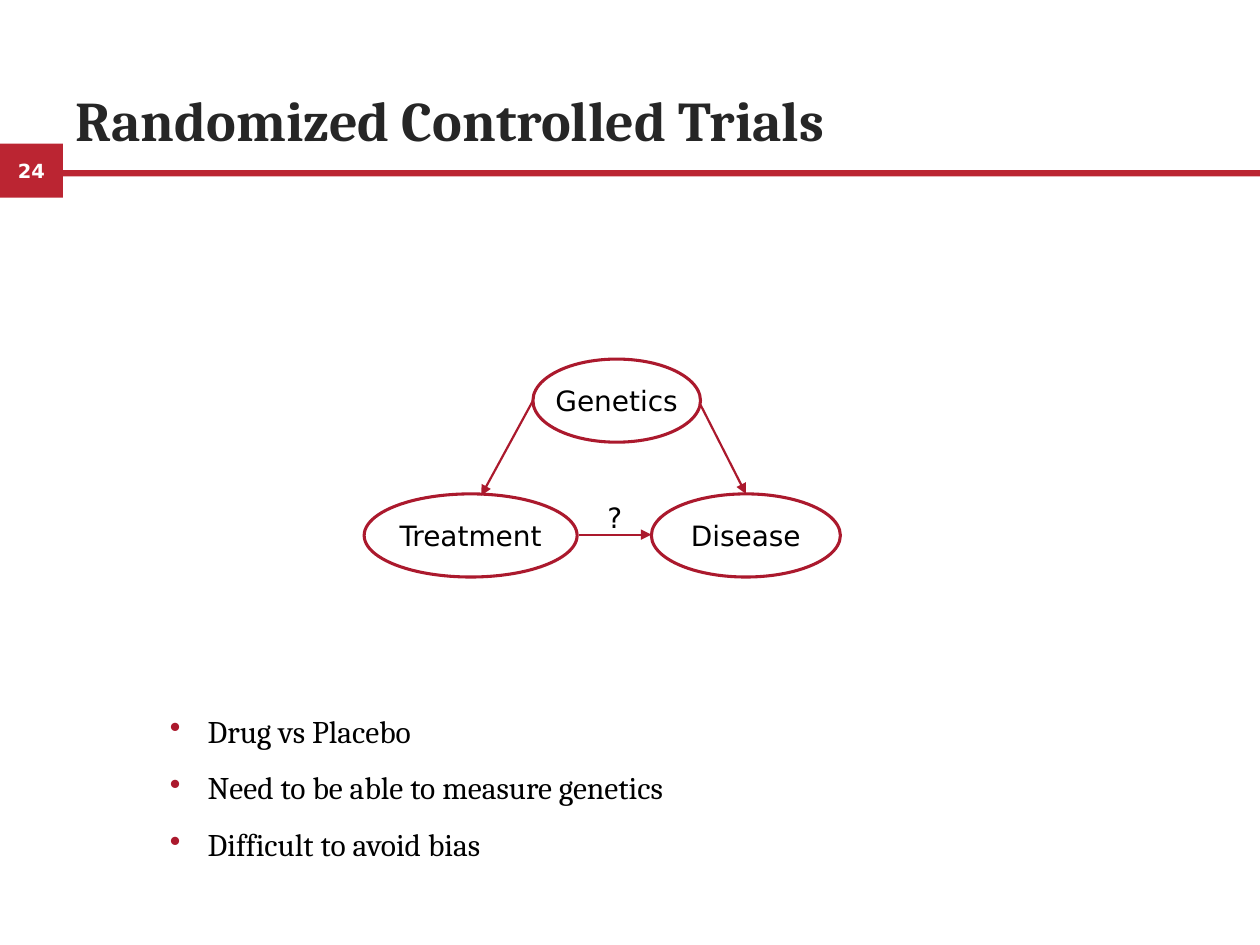
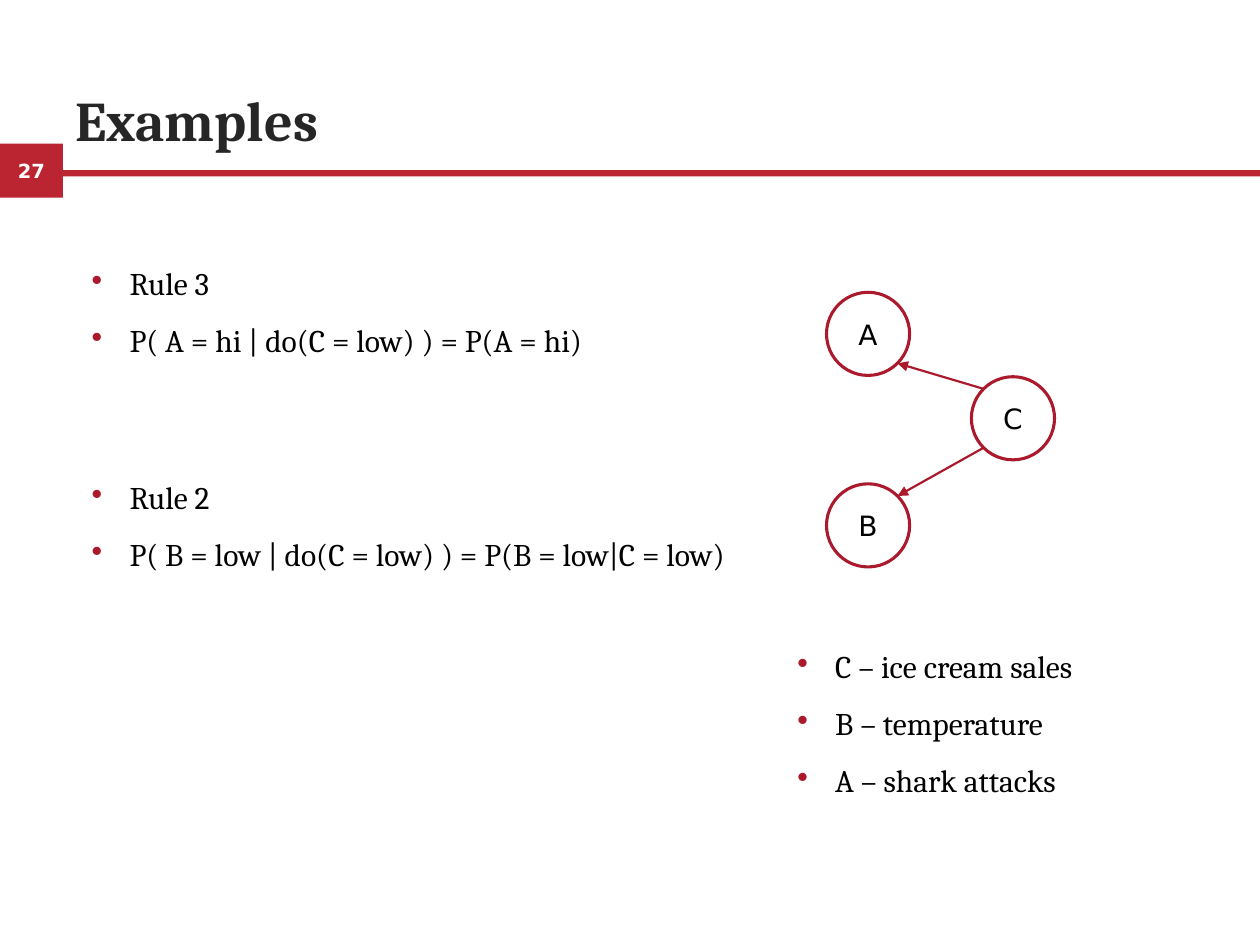
import dataclasses

import lxml.etree
import pptx
import pptx.dml.color
import pptx.enum.shapes
import pptx.enum.text
import pptx.oxml.ns
import pptx.util

COLUMNS, ROWS = 100, 75  # square grid cells of a tenth of an inch
COLORS = {
    "band": "BB2532",
    "accent": "AB192D",
    "title": "262626",
    "text": "000000",
    "paper": "FFFFFF",
}
SERIF, SANS = "Cambria", "DejaVu Sans"
ALIGN = pptx.enum.text.PP_ALIGN
ANCHOR = pptx.enum.text.MSO_ANCHOR
SHAPE = pptx.enum.shapes.MSO_SHAPE
CORNER = 0.146  # where a circle's diagonal crosses its outline


def cells(count):
    return pptx.util.Inches(count / 10)


def color(name):
    return pptx.dml.color.RGBColor.from_string(COLORS[name])


@dataclasses.dataclass
class Box:
    """A rectangle in grid cells."""
    left: float
    top: float
    width: float
    height: float

    def emu(self):
        return [cells(n) for n in (self.left, self.top, self.width, self.height)]

    def inside(self, left, top, width, height):
        return Box(self.left + left, self.top + top, width, height)

    def point(self, across, down):
        """Return the point at these shares of the width and height."""
        return (cells(self.left + across * self.width),
                cells(self.top + down * self.height))


TITLE = Box(5, 3.8, 91.7, 8.8)
NUMBER = Box(0, 11.4, 5, 4.3)
RULE = Box(5, 13.5, COLUMNS - 5, 0.5)


def style(para, font, size, ink, bold=False, align=ALIGN.LEFT):
    para.font.name = font
    para.font.size = pptx.util.Pt(size)
    para.font.color.rgb = color(ink)
    para.font.bold = bold
    para.alignment = align


def add_figure(page, kind, box, fill, outline=None):
    shape = page.shapes.add_shape(kind, *box.emu())
    shape.shadow.inherit = False
    shape.fill.solid()
    shape.fill.fore_color.rgb = color(fill)
    if outline:
        shape.line.color.rgb = color(outline)
        shape.line.width = pptx.util.Pt(1.75)
    else:
        shape.line.fill.background()
    return shape


def label(shape, text, size=16, ink="text", bold=False, anchor=ANCHOR.MIDDLE):
    frame = shape.text_frame
    frame.word_wrap = False
    frame.vertical_anchor = anchor
    frame.text = text
    style(frame.paragraphs[0], SANS, size, ink, bold, ALIGN.CENTER)


def add_page(deck, title, number):
    """Add a slide with its title, number tab and rule."""
    page = deck.slides.add_slide(deck.slide_layouts[5])
    tab = add_figure(page, SHAPE.RECTANGLE, NUMBER, "band")
    label(tab, str(number), 11.1, "paper", bold=True)
    add_figure(page, SHAPE.RECTANGLE, RULE, "band")

    heading = page.shapes.title
    heading.left, heading.top, heading.width, heading.height = TITLE.emu()
    heading.text_frame.text = title
    heading.text_frame.vertical_anchor = ANCHOR.BOTTOM
    style(heading.text_frame.paragraphs[0], SERIF, 32, "title", bold=True)
    return page


def add_bullets(page, box, lines):
    frame = page.shapes.add_textbox(*box.emu()).text_frame
    frame.word_wrap = True
    frame.text = "\n".join(lines)
    qn = pptx.oxml.ns.qn
    for para in frame.paragraphs:
        style(para, SERIF, 18, "text")
        para.line_spacing = 0.95
        para.space_before = pptx.util.Pt(12)
        props = para._p.get_or_add_pPr()
        props.set("marL", str(cells(3)))
        props.set("indent", str(-cells(3)))
        # The schema wants the bullet after spacing and before run defaults.
        defaults = props.find(qn("a:defRPr"))
        tint = lxml.etree.Element(qn("a:buClr"))
        lxml.etree.SubElement(tint, qn("a:srgbClr"), val=COLORS["accent"])
        defaults.addprevious(tint)
        defaults.addprevious(lxml.etree.Element(qn("a:buChar"), char="•"))


def add_arrow(page, start, end):
    arrow = page.shapes.add_connector(
        pptx.enum.shapes.MSO_CONNECTOR.STRAIGHT, *start, *end)
    arrow.line.color.rgb = color("accent")
    arrow.line.width = pptx.util.Pt(1.25)
    qn = pptx.oxml.ns.qn
    lxml.etree.SubElement(arrow.line._get_or_add_ln(), qn("a:tailEnd"), type="triangle")
    lxml.etree.SubElement(arrow._element.spPr, qn("a:effectLst"))


def add_diagram(page, nodes, links):
    """Draw named ellipses, and arrows between shares of their boxes."""
    for name, box in nodes.items():
        label(add_figure(page, SHAPE.OVAL, box, "paper", "accent"), name)
    for source, leave, target, arrive in links:
        add_arrow(page, nodes[source].point(*leave), nodes[target].point(*arrive))


def add_trial_diagram(page, box):
    height = 6.6
    lower = box.height - height
    nodes = {
        "Treatment": box.inside(0, lower, 16.9, height),
        "Disease": box.inside(box.width - 15, lower, 15, height),
        "Genetics": box.inside(13.4, 0, 13.3, height),
    }
    add_diagram(page, nodes, [
        ("Genetics", (0, 0.5), "Treatment", (0.55, 0.02)),
        ("Genetics", (1, 0.55), "Disease", (0.5, 0)),
        ("Treatment", (1.01, 0.49), "Disease", (0, 0.49)),
    ])
    question = page.shapes.add_textbox(*box.inside(18.3, lower, 3.2, 2.6).emu())
    label(question, "?", anchor=ANCHOR.TOP)


def add_cause_diagram(page, box):
    size = 6.6
    nodes = {
        "A": box.inside(0, 0, size, size),
        "B": box.inside(0, box.height - size, size, size),
        "C": box.inside(box.width - size, 6.7, size, size),
    }
    near, far = CORNER, 1 - CORNER
    add_diagram(page, nodes, [
        ("C", (near, near), "A", (far, far)),
        ("C", (near, far), "B", (far, near)),
    ])


def build_trials(deck):
    page = add_page(deck, "Randomized Controlled Trials", 24)
    add_trial_diagram(page, Box(28.9, 28.5, 37.8, 17.3))
    add_bullets(page, Box(12.5, 56.2, 48.3, 16.1), [
        "Drug vs Placebo",
        "Need to be able to measure genetics",
        "Difficult to avoid bias",
    ])


def build_examples(deck):
    page = add_page(deck, "Examples", 27)
    add_bullets(page, Box(6.3, 20.7, 47, 11.7), [
        "Rule 3",
        "P( A = hi | do(C = low) ) = P(A = hi)",
    ])
    add_cause_diagram(page, Box(65.6, 23.2, 18.1, 21.8))
    add_bullets(page, Box(62.3, 51.1, 34.4, 16.1), [
        "C – ice cream sales",
        "B – temperature",
        "A – shark attacks",
    ])
    add_bullets(page, Box(6.3, 37.7, 60.3, 11.7), [
        "Rule 2",
        "P( B = low | do(C = low) ) = P(B = low|C = low)",
    ])


def main():
    deck = pptx.Presentation()
    deck.slide_width, deck.slide_height = cells(COLUMNS), cells(ROWS)
    build_trials(deck)
    build_examples(deck)
    deck.save("out.pptx")


if __name__ == "__main__":
    main()
